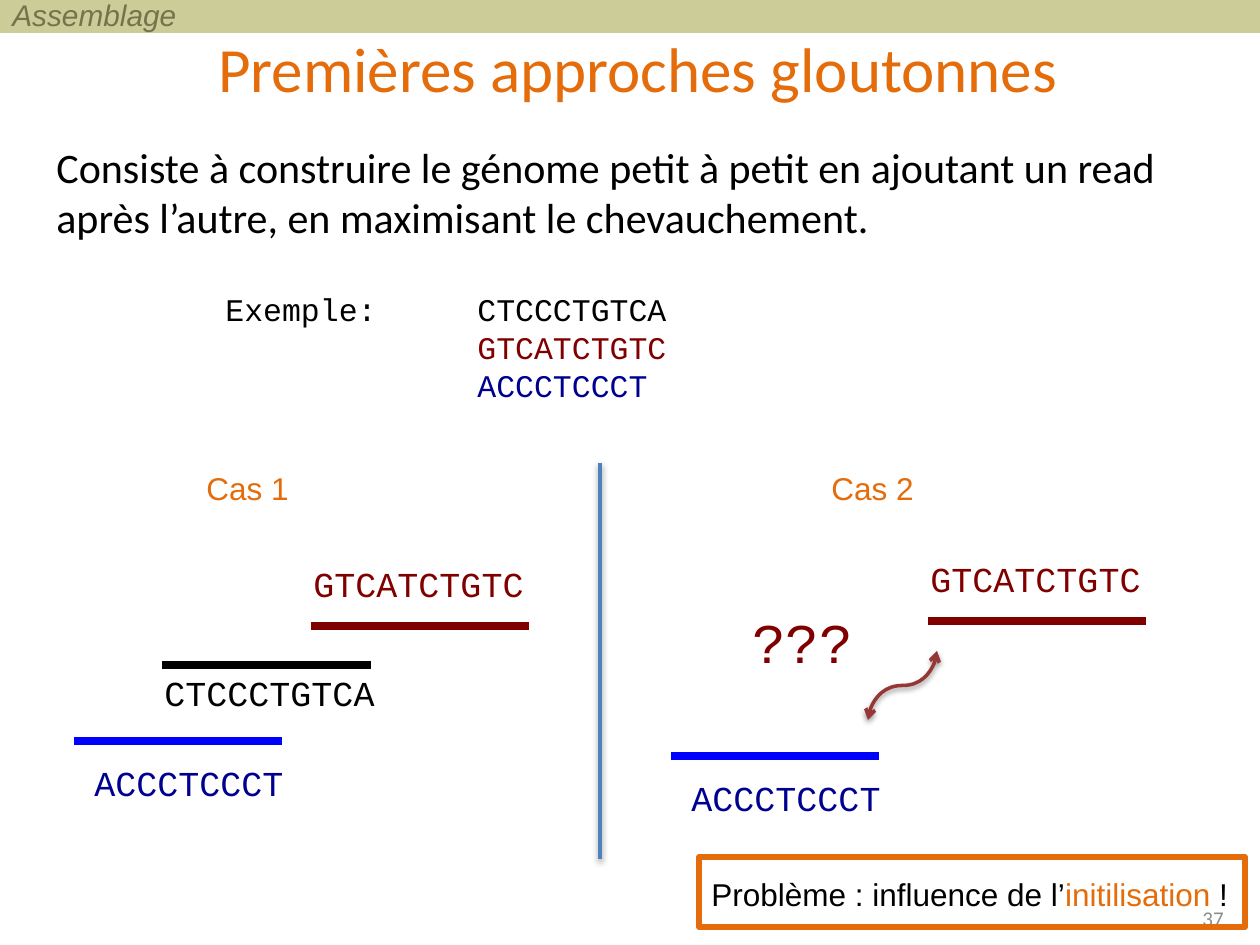
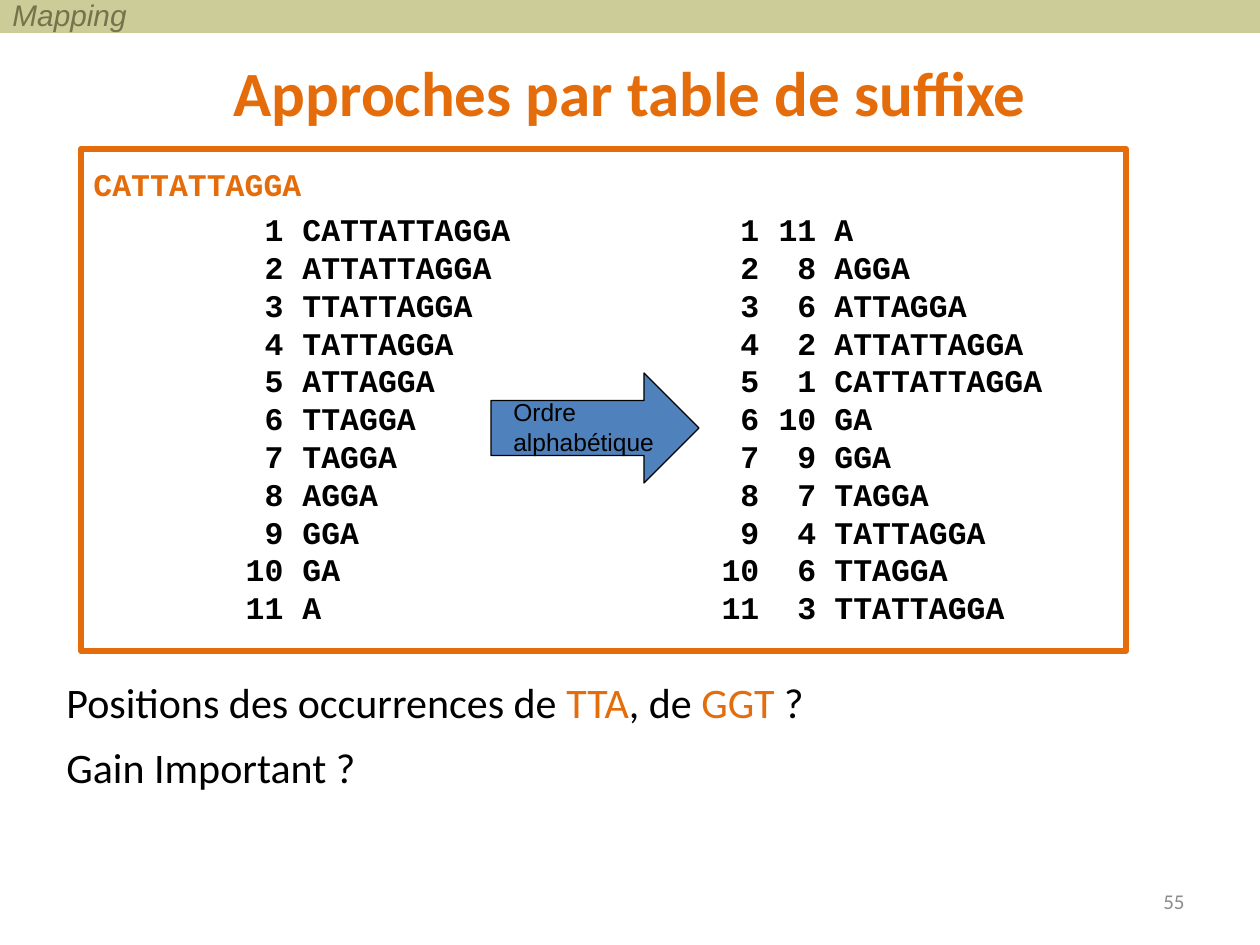
from dataclasses import dataclass, replace

from lxml import etree
from pptx import Presentation
from pptx import util as u
from pptx.dml.color import RGBColor
from pptx.enum import shapes, text
from pptx.oxml import ns

PX = 914400 / 126


def px(length):
    return u.Emu(round(length * PX))


@dataclass(frozen=True)
class Style:
    face: str
    size: int
    colour: str
    bold: bool = False
    italic: bool = False


class Theme:
    band, band_text = "CCCC99", "74734C"
    accent, ink, page_grey = "E46C0A", "000000", "8C8C8C"
    red, blue, blue_line = "800000", "000090", "0000FF"
    divider, arrow, link = "4F81BD", "4F81BD", "953735"
    frame_width, read_width, thin_width = 3.5, 4.5, 2
    title = Style("Calibri", 36, accent)
    body = Style("Calibri", 24, ink)
    page = Style("Calibri", 12, page_grey)
    section = Style("Arial", 17, band_text, italic=True)
    case = Style("Arial", 18, accent)
    remark = Style("Arial", 18, ink)
    arrow_label = Style("Arial", 14, ink)
    example = Style("Courier New", 18, ink)
    suffix = Style("Courier New", 18, ink, bold=True)
    read = Style("Courier New", 20, ink)
    doubt = Style("Courier New", 32, red)


@dataclass(frozen=True)
class Box:
    x: int
    y: int
    w: int
    h: int

    def inner(self, dx, dy, w, h):
        return Box(self.x + dx, self.y + dy, w, h)

    def emu(self):
        return [px(side) for side in (self.x, self.y, self.w, self.h)]


@dataclass(frozen=True)
class Read:
    """A sequence with its bar length and the shift of its label from the bar."""
    letters: str
    colour: str
    bar_colour: str
    length: int
    label_dx: int
    label_dy: int


CENTRE_READ = Read("CTCCCTGTCA", Theme.ink, Theme.ink, 209, -10, 0)
RIGHT_READ = Read("GTCATCTGTC", Theme.red, Theme.red, 218, -10, -70)
LEFT_READ = Read("ACCCTCCCT", Theme.blue, Theme.blue_line, 208, 8, 14)


def add_tabs(paragraph, tabs):
    tab_list = etree.SubElement(paragraph._p.get_or_add_pPr(), ns.qn("a:tabLst"))
    for position, side in tabs:
        etree.SubElement(tab_list, ns.qn("a:tab"), pos=str(px(position)), algn=side)


def write(slide, box, style, paragraphs, align=text.PP_ALIGN.LEFT,
          anchor=text.MSO_ANCHOR.TOP, wrap=True, gap=0, tabs=()):
    """Each paragraph is a list of (words, colour) runs; colour None keeps the style's."""
    frame = slide.shapes.add_textbox(*box.emu()).text_frame
    frame.word_wrap = wrap
    frame.vertical_anchor = anchor
    for index, runs in enumerate(paragraphs):
        paragraph = frame.add_paragraph() if index else frame.paragraphs[0]
        if tabs:
            add_tabs(paragraph, tabs)
        paragraph.alignment = align
        if index and gap:
            paragraph.space_before = u.Pt(gap)
        for words, colour in runs:
            run = paragraph.add_run()
            run.text = words
            font = run.font
            font.name, font.size = style.face, u.Pt(style.size)
            font.bold, font.italic = style.bold, style.italic
            font.color.rgb = RGBColor.from_string(colour or style.colour)


def write_line(slide, box, style, words, **options):
    write(slide, box, style, [[(words, None)]], **options)


def add_block(slide, box, kind=shapes.MSO_SHAPE.RECTANGLE, fill=None, line=None,
              width=Theme.frame_width):
    block = slide.shapes.add_shape(kind, *box.emu())
    block.shadow.inherit = False
    if fill:
        block.fill.solid()
        block.fill.fore_color.rgb = RGBColor.from_string(fill)
    else:
        block.fill.background()
    if line:
        block.line.color.rgb = RGBColor.from_string(line)
        block.line.width = u.Pt(width)
    else:
        block.line.fill.background()


def add_line(slide, start, end, colour, width, kind=shapes.MSO_CONNECTOR.STRAIGHT,
             shadow=False):
    ends = [px(value) for value in (*start, *end)]
    line = slide.shapes.add_connector(kind, *ends)
    line.line.color.rgb = RGBColor.from_string(colour)
    line.line.width = u.Pt(width)
    effects = etree.SubElement(line._element.spPr, ns.qn("a:effectLst"))
    if shadow:
        outer = etree.SubElement(effects, ns.qn("a:outerShdw"), blurRad="40000",
                                 dist="20000", dir="5400000", rotWithShape="0")
        black = etree.SubElement(outer, ns.qn("a:srgbClr"), val="000000")
        etree.SubElement(black, ns.qn("a:alpha"), val="38000")
    return line


def add_double_curve(slide, box):
    """S-curve from the top right to the bottom left, with arrows at both ends."""
    curve = add_line(slide, (box.x, box.y), (box.x + box.w, box.y + box.h), Theme.link,
                     Theme.thin_width, shapes.MSO_CONNECTOR.CURVE, shadow=True)
    properties = curve._element.spPr
    properties.find(ns.qn("a:xfrm")).set("rot", "5400000")
    outline = properties.find(ns.qn("a:ln"))
    for end in ("a:headEnd", "a:tailEnd"):
        etree.SubElement(outline, ns.qn(end), type="arrow")


def new_slide(deck, section, title, title_box, title_style, page, page_box):
    slide = deck.slides.add_slide(deck.slide_layouts[6])
    middle = text.MSO_ANCHOR.MIDDLE
    add_block(slide, Box(0, 0, 1260, 33), fill=Theme.band)
    write_line(slide, Box(0, 0, 1260, 30), Theme.section, section, anchor=middle)
    write_line(slide, title_box, title_style, title, align=text.PP_ALIGN.CENTER,
               anchor=middle)
    write_line(slide, page_box, Theme.page, page, align=text.PP_ALIGN.RIGHT,
               anchor=middle)
    return slide


def add_read(slide, case_box, read, dx, dy):
    x, y = case_box.x + dx, case_box.y + dy
    add_line(slide, (x, y), (x + read.length, y), read.bar_colour, Theme.read_width)
    label_box = Box(x + read.label_dx, y + read.label_dy, 21 * len(read.letters) + 27, 55)
    write_line(slide, label_box, replace(Theme.read, colour=read.colour), read.letters,
               wrap=False)


def add_case(slide, box, name, placed_reads):
    write_line(slide, box.inner(194, 0, 149, 50), Theme.case, name)
    for read, dx, dy in placed_reads:
        add_read(slide, box, read, dx, dy)


def add_example(slide, box):
    reads = (CENTRE_READ, RIGHT_READ, LEFT_READ)
    labels = ("Exemple:", "", "")
    write(slide, box, Theme.example,
          [[(f"{label}\t{read.letters}", read.colour)] for label, read in zip(labels, reads)],
          tabs=[(252, "l")])


def add_problem(slide, box):
    add_block(slide, box, line=Theme.accent)
    write(slide, box.inner(0, 12, 595, 50), Theme.remark,
          [[("Problème : influence de l’", None), ("initilisation", Theme.accent),
            (" !", None)]])


def add_suffix_table(slide, box, word, sorted_positions):
    suffixes = [word[start:] for start in range(len(word))]
    listed = [f"\t{rank}\t{suffix}" for rank, suffix in enumerate(suffixes, 1)]
    ordered = [f"\t{rank}\t{position}\t{suffix}" for rank, (position, suffix)
               in enumerate(zip(sorted_positions, sorted(suffixes)), 1)]
    write(slide, box.inner(152, 55, 348, 432), Theme.suffix,
          [[(row, None)] for row in listed], tabs=[(38, "r"), (57, "l")])
    write(slide, box.inner(628, 55, 507, 432), Theme.suffix,
          [[(row, None)] for row in ordered], tabs=[(38, "r"), (95, "r"), (113, "l")])
    add_order_arrow(slide, box.inner(410, 224, 208, 110))
    write_line(slide, box.inner(0, 10, 236, 50),
               replace(Theme.suffix, colour=Theme.accent), word, wrap=False)
    add_block(slide, box, line=Theme.accent)


def add_order_arrow(slide, box):
    add_block(slide, box, shapes.MSO_SHAPE.RIGHT_ARROW, Theme.arrow, Theme.ink, 0.75)
    write(slide, box.inner(10, 18, 228, 72), Theme.arrow_label,
          [[("Ordre", None)], [("alphabétique", None)]])


def build_greedy_slide(deck):
    slide = new_slide(deck, "Assemblage", "Premières approches gloutonnes",
                      Box(71, 22, 1134, 90), Theme.title, "37", Box(942, 893, 294, 50))
    write_line(slide, Box(44, 135, 1142, 128), Theme.body,
               "Consiste à construire le génome petit à petit en ajoutant un read "
               "après l’autre, en maximisant le chevauchement.")
    add_example(slide, Box(213, 284, 630, 127))
    add_line(slide, (600, 463), (600, 859), Theme.divider, Theme.thin_width, shadow=True)
    add_case(slide, Box(0, 463, 600, 396), "Cas 1",
             [(RIGHT_READ, 311, 163), (CENTRE_READ, 162, 202), (LEFT_READ, 74, 278)])
    second = Box(625, 463, 600, 396)
    add_case(slide, second, "Cas 2", [(RIGHT_READ, 303, 158), (LEFT_READ, 46, 293)])
    write_line(slide, second.inner(115, 138, 127, 81), Theme.doubt, "???", wrap=False)
    add_double_curve(slide, second.inner(243, 188, 69, 69))
    add_problem(slide, Box(699, 857, 546, 70))


def build_suffix_slide(deck):
    slide = new_slide(deck, "Mapping", "Approches par table de suffixe",
                      Box(63, 38, 1134, 107), replace(Theme.title, bold=True),
                      "55", Box(903, 876, 294, 50))
    add_suffix_table(slide, Box(81, 149, 1045, 502), "CATTATTAGGA",
                     [11, 8, 6, 2, 1, 10, 9, 7, 4, 6, 3])
    write(slide, Box(54, 670, 1150, 129), Theme.body,
          [[("Positions des occurrences de ", None), ("TTA", Theme.accent),
            (", de ", None), ("GGT ", Theme.accent), ("?", None)],
           [("Gain Important ?", None)]], gap=8.4)


def main():
    deck = Presentation()
    deck.slide_width, deck.slide_height = px(1260), px(945)
    build_greedy_slide(deck)
    build_suffix_slide(deck)
    deck.save("out.pptx")


if __name__ == "__main__":
    main()
